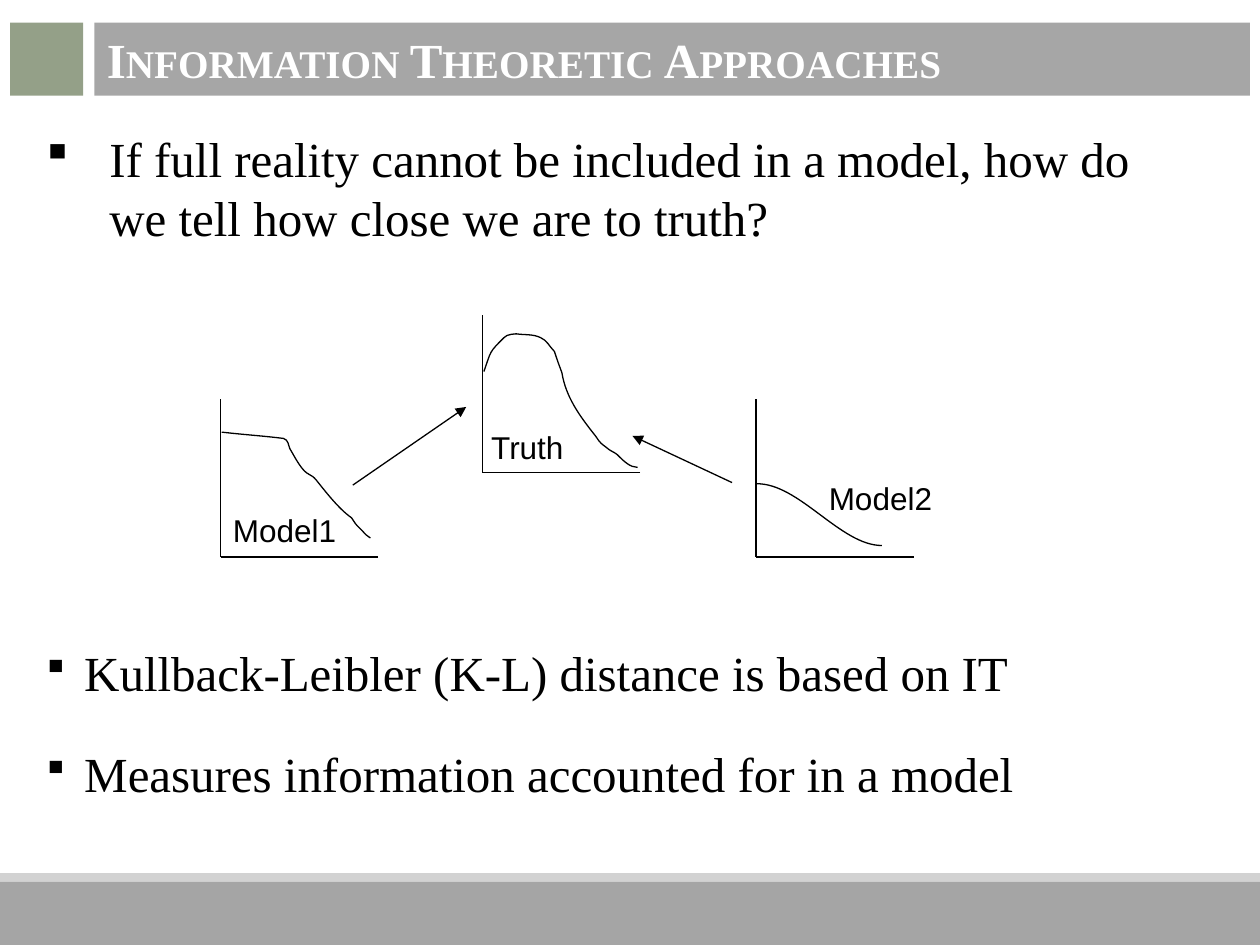
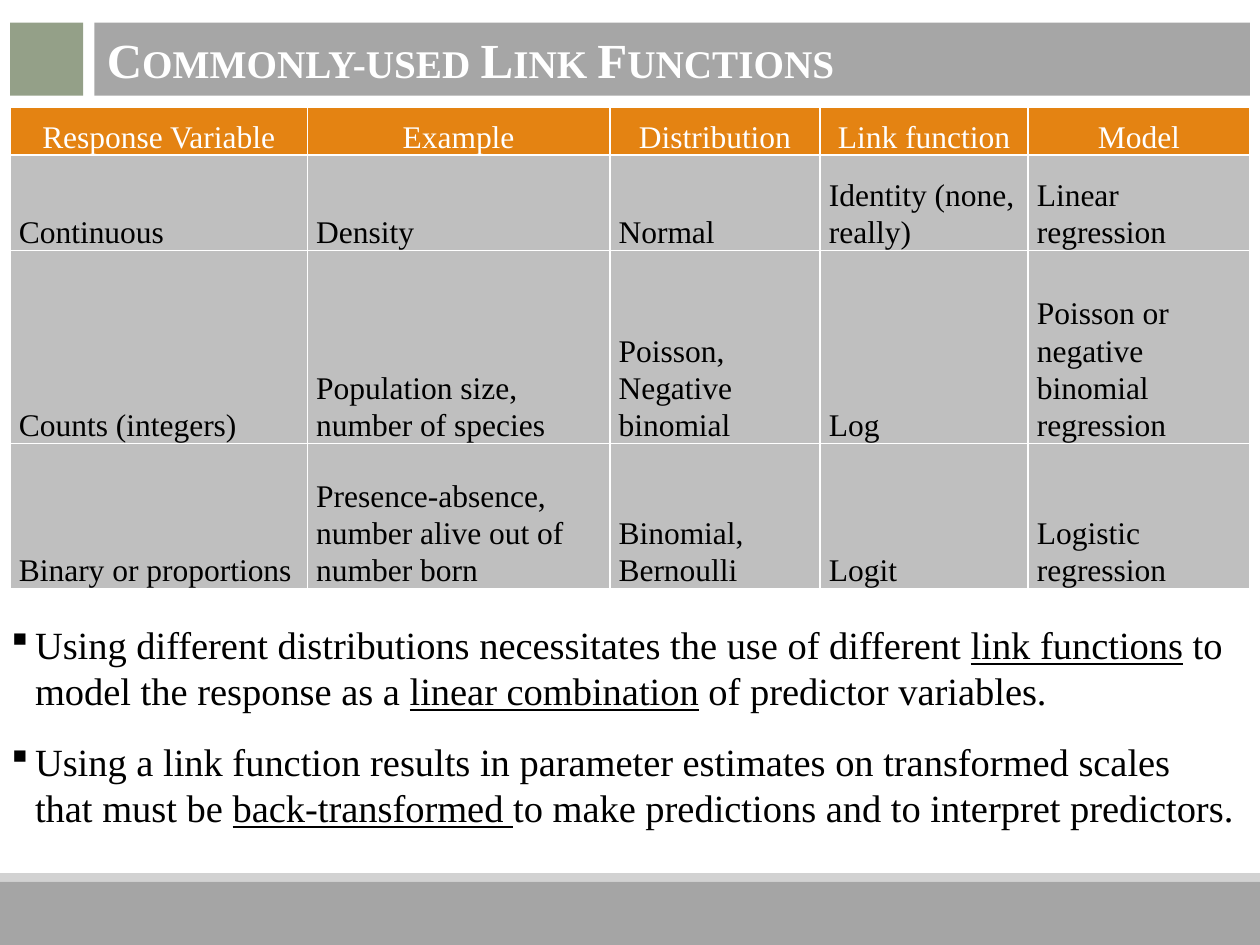
from dataclasses import dataclass

from lxml import etree
from pptx import Presentation
from pptx.dml.color import RGBColor
from pptx.enum.shapes import MSO_CONNECTOR, MSO_SHAPE
from pptx.enum.text import MSO_ANCHOR, MSO_AUTO_SIZE, PP_ALIGN
from pptx.oxml.ns import qn
from pptx.util import Inches, Pt

RECTANGLE = MSO_SHAPE.RECTANGLE
STRAIGHT = MSO_CONNECTOR.STRAIGHT
MIDDLE, BOTTOM = MSO_ANCHOR.MIDDLE, MSO_ANCHOR.BOTTOM
FIT_TEXT = MSO_AUTO_SIZE.SHAPE_TO_FIT_TEXT
LEFT, CENTER = PP_ALIGN.LEFT, PP_ALIGN.CENTER


@dataclass(frozen=True)
class Theme:
    serif: str = "Times New Roman"
    sans: str = "Arial"
    symbols: str = "Wingdings"
    square_bullet: str = "§"
    ink: str = "000000"
    white: str = "FFFFFF"
    title_band: str = "A6A6A6"
    accent: str = "94A088"
    footer: str = "808080"
    footer_edge: str = "BFBFBF"
    table_head: str = "E48312"
    table_body: str = "BFBFBF"
    large: int = 28
    medium: int = 22
    small: int = 18
    line: float = 0.75


THEME = Theme()
AXIS_LENGTH = 1.25

MODEL1_CURVE = [
    (1.76, 3.43),
    (1.93, 3.45), (2.09, 3.46), (2.25, 3.48),
    (2.29, 3.49), (2.29, 3.54), (2.3, 3.56),
    (2.33, 3.61), (2.36, 3.67), (2.4, 3.72),
    (2.45, 3.78), (2.47, 3.76), (2.51, 3.81),
    (2.59, 3.91), (2.69, 4.04), (2.79, 4.11),
    (2.85, 4.2), (2.81, 4.14), (2.9, 4.24),
    (2.91, 4.25), (2.94, 4.27), (2.94, 4.27),
]
TRUTH_CURVE = [
    (3.84, 2.95),
    (3.9, 2.78), (3.88, 2.8), (4, 2.68),
    (4.02, 2.65), (4.1, 2.65), (4.1, 2.65),
    (4.16, 2.66), (4.23, 2.65), (4.29, 2.68),
    (4.34, 2.7), (4.36, 2.75), (4.4, 2.79),
    (4.44, 2.91), (4.42, 2.85), (4.46, 2.96),
    (4.49, 3.15), (4.6, 3.3), (4.71, 3.44),
    (4.76, 3.5), (4.74, 3.5), (4.81, 3.55),
    (4.84, 3.58), (4.88, 3.59), (4.9, 3.61),
    (4.95, 3.66), (5, 3.71), (5.06, 3.71),
]
MODEL2_CURVE = [(6, 3.84), (6.34, 3.83), (6.67, 4.33), (7, 4.33)]

PLOTS = [
    ("Truth", (3.83, 2.5), TRUTH_CURVE, (3.8, 3.35, 0.78, 0.4)),
    ("Model1", (1.75, 3.17), MODEL1_CURVE, (1.75, 4.01, 1.1, 0.4)),
    ("Model2", (6, 3.17), MODEL2_CURVE, (6.48, 3.75, 1.1, 0.4)),
]

COLUMN_WIDTHS = [2.36, 2.4, 1.67, 1.65, 1.76]
ROW_HEIGHTS = [0.38, 0.76, 1.53, 1.15]
LINK_FUNCTIONS = [
    ["Response Variable", "Example", "Distribution", "Link function", "Model"],
    ["Continuous", "Density", "Normal", "Identity (none, really)", "Linear regression"],
    ["Counts (integers)", "Population size, number of species",
     "Poisson, Negative binomial", "Log", "Poisson or negative binomial regression"],
    ["Binary or proportions", "Presence-absence, number alive out of number born",
     "Binomial, Bernoulli", "Logit", "Logistic regression"],
]


def rgb(value):
    return RGBColor.from_string(value)


def inches(*lengths):
    return [Inches(length) for length in lengths]


def add_run(paragraph, text, size, color=THEME.ink, font=THEME.serif):
    run = paragraph.add_run()
    run.text = text
    run.font.name = font
    run.font.size = Pt(size)
    run.font.color.rgb = rgb(color)
    return run


def add_band(slide, box, color, opacity=100):
    band = slide.shapes.add_shape(RECTANGLE, *inches(*box))
    band.shadow.inherit = False
    band.line.fill.background()
    band.fill.solid()
    band.fill.fore_color.rgb = rgb(color)
    if opacity < 100:
        tint = band.fill._xPr.find(".//" + qn("a:srgbClr"))
        etree.SubElement(tint, qn("a:alpha"), val=str(opacity * 1000))
    return band


def add_titled_slide(deck, title):
    slide = deck.slides.add_slide(deck.slide_layouts[6])
    add_band(slide, (0, 7, 10, 0.5), THEME.footer, 70)
    add_band(slide, (0, 6.93, 10, 0.07), THEME.footer_edge, 70)
    title_band = add_band(slide, (0.75, 0.18, 9.17, 0.58), THEME.title_band)
    add_band(slide, (0.08, 0.18, 0.58, 0.58), THEME.accent)
    title_band.text_frame.vertical_anchor = MIDDLE
    heading = title_band.text_frame.paragraphs[0]
    heading.alignment = LEFT
    run = add_run(heading, title, THEME.large, THEME.white)
    run.font.bold = True
    run.font._element.set("cap", "small")
    return slide


def set_bullet(paragraph, indent, percent):
    properties = paragraph._p.get_or_add_pPr()
    properties.set("marL", str(Inches(indent)))
    properties.set("indent", str(-Inches(indent)))
    etree.SubElement(properties, qn("a:buSzPct"), val=str(percent * 1000))
    etree.SubElement(properties, qn("a:buFont"), typeface=THEME.symbols,
                     pitchFamily="2", charset="2")
    etree.SubElement(properties, qn("a:buChar"), char=THEME.square_bullet)


def add_bullets(slide, box, points, size, indent, before=0, after=0, percent=100):
    frame = slide.shapes.add_textbox(*inches(*box)).text_frame
    frame.word_wrap = True
    for index, parts in enumerate(points):
        paragraph = frame.paragraphs[0] if index == 0 else frame.add_paragraph()
        paragraph.space_before = Pt(before)
        paragraph.space_after = Pt(after)
        set_bullet(paragraph, indent, percent)
        for position, part in enumerate(parts):
            run = add_run(paragraph, part, size)
            if position % 2:
                run.font.underline = True


def add_label(slide, text, box):
    frame = slide.shapes.add_textbox(*inches(*box)).text_frame
    frame.word_wrap = False
    frame.auto_size = FIT_TEXT
    add_run(frame.paragraphs[0], text, THEME.small, font=THEME.sans)


def style_line(line):
    line.color.rgb = rgb(THEME.ink)
    line.width = Pt(THEME.line)


def add_line(slide, start, end, arrow=False):
    connector = slide.shapes.add_connector(STRAIGHT, *inches(*start, *end))
    style_line(connector.line)
    if arrow:
        etree.SubElement(connector.line._ln, qn("a:tailEnd"), type="triangle")
    etree.SubElement(connector._element.spPr, qn("a:effectLst"))


def bend_segments(curve):
    outline = curve._element.spPr.find(".//" + qn("a:pathLst"))[0]
    segments = outline.findall(qn("a:lnTo"))
    for first in range(0, len(segments), 3):
        bend = etree.SubElement(outline, qn("a:cubicBezTo"))
        for segment in segments[first:first + 3]:
            bend.append(segment[0])
            outline.remove(segment)


def add_curve(slide, points):
    builder = slide.shapes.build_freeform(*inches(*points[0]))
    builder.add_line_segments([inches(*point) for point in points[1:]], close=False)
    curve = builder.convert_to_shape()
    bend_segments(curve)
    curve.shadow.inherit = False
    curve.fill.background()
    style_line(curve.line)


def add_plot(slide, label, top_left, curve, label_box):
    left, top = top_left
    origin = (left, top + AXIS_LENGTH)
    add_line(slide, top_left, origin)
    add_line(slide, (left + AXIS_LENGTH, top + AXIS_LENGTH), origin)
    add_curve(slide, curve)
    add_label(slide, label, label_box)


def set_borders(cell):
    properties = cell._tc.get_or_add_tcPr()
    for index, side in enumerate(("lnL", "lnR", "lnT", "lnB")):
        border = etree.Element(qn("a:" + side), w=str(Pt(1)))
        fill = etree.SubElement(border, qn("a:solidFill"))
        etree.SubElement(fill, qn("a:srgbClr"), val=THEME.white)
        properties.insert(index, border)


def fill_cell(cell, text, is_head):
    cell.fill.solid()
    cell.fill.fore_color.rgb = rgb(THEME.table_head if is_head else THEME.table_body)
    cell.vertical_anchor = BOTTOM
    cell.margin_left = cell.margin_right = Inches(0.07)
    cell.margin_top = cell.margin_bottom = 0
    paragraph = cell.text_frame.paragraphs[0]
    paragraph.alignment = CENTER if is_head else LEFT
    paragraph.line_spacing = 1.07
    add_run(paragraph, text, THEME.small, THEME.white if is_head else THEME.ink)
    set_borders(cell)


def add_link_table(slide, left, top):
    size = inches(left, top, sum(COLUMN_WIDTHS), sum(ROW_HEIGHTS))
    table = slide.shapes.add_table(len(ROW_HEIGHTS), len(COLUMN_WIDTHS), *size).table
    for column, width in zip(table.columns, COLUMN_WIDTHS):
        column.width = Inches(width)
    for row_index, (row, height) in enumerate(zip(table.rows, ROW_HEIGHTS)):
        row.height = Inches(height)
        for cell, text in zip(row.cells, LINK_FUNCTIONS[row_index]):
            fill_cell(cell, text, row_index == 0)


def add_information_slide(deck):
    slide = add_titled_slide(deck, "Information Theoretic Approaches")
    question = ("If full reality cannot be included in a model, "
                "how do we tell how close we are to truth?")
    add_bullets(slide, (0.27, 0.97, 9.23, 1.04), [[question]], THEME.large, 0.5)
    for plot in PLOTS:
        add_plot(slide, *plot)
    add_line(slide, (2.8, 3.85), (3.7, 3.23), arrow=True)
    add_line(slide, (5.81, 3.83), (5.02, 3.46), arrow=True)
    add_bullets(slide, (0.27, 5.05, 9.58, 1.65), [
        ["Kullback-Leibler (K-L) distance is based on IT"],
        ["Measures information accounted for in a model"],
    ], THEME.large, 0.3, before=12, after=12, percent=85)


def add_link_slide(deck):
    slide = add_titled_slide(deck, "Commonly-used Link Functions")
    add_link_table(slide, 0.08, 0.85)
    add_bullets(slide, (-0.01, 4.88, 9.93, 1.78), [
        ["Using different distributions necessitates the use of different ",
         "link functions", " to model the response as a ",
         "linear combination", " of predictor variables."],
        ["Using a link function results in parameter estimates on transformed "
         "scales that must be ", "back-transformed ",
         "to make predictions and to interpret predictors."],
    ], THEME.medium, 0.19, after=14)


def main():
    deck = Presentation()
    deck.slide_width, deck.slide_height = inches(10, 7.5)
    add_information_slide(deck)
    add_link_slide(deck)
    deck.save("out.pptx")


if __name__ == "__main__":
    main()
